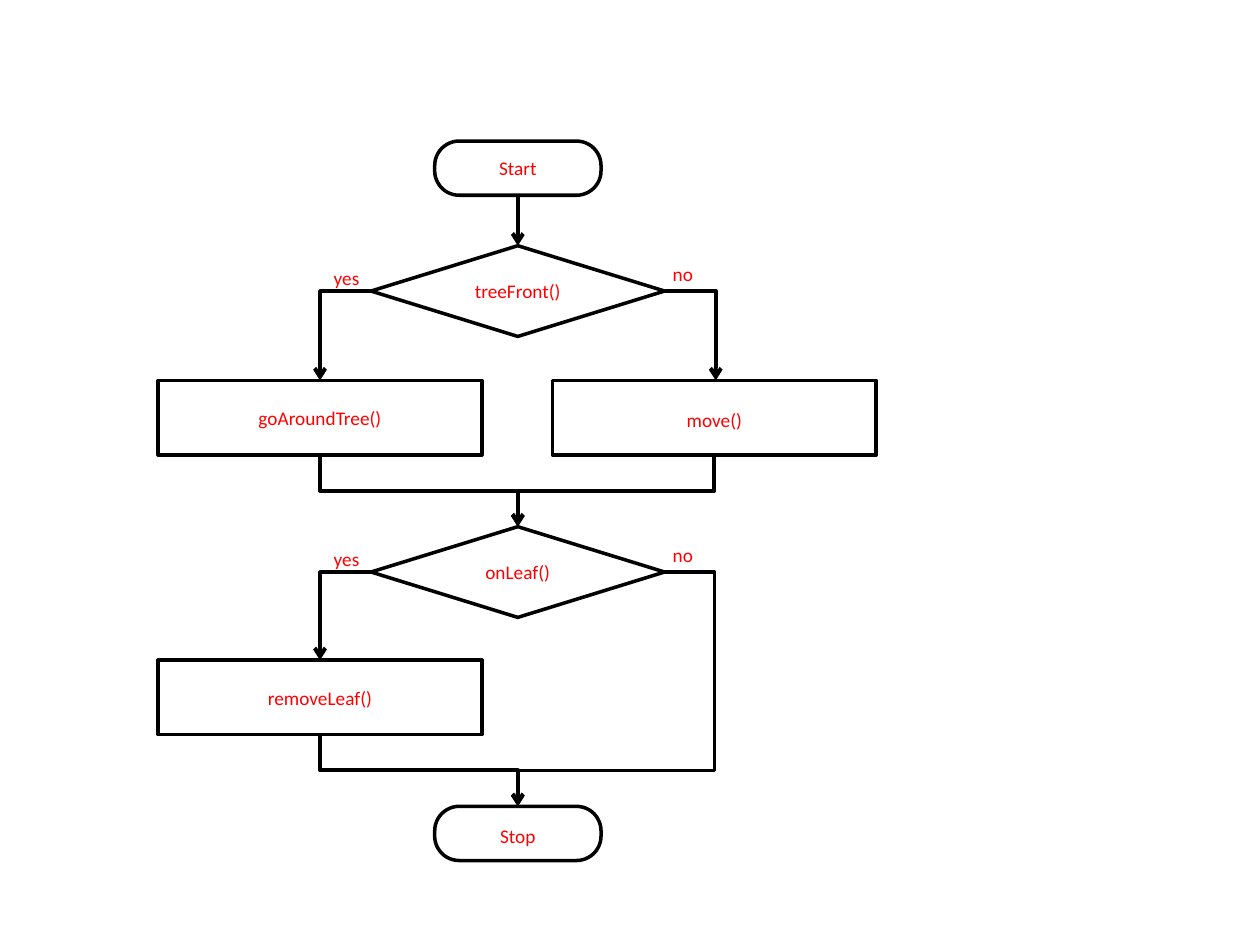
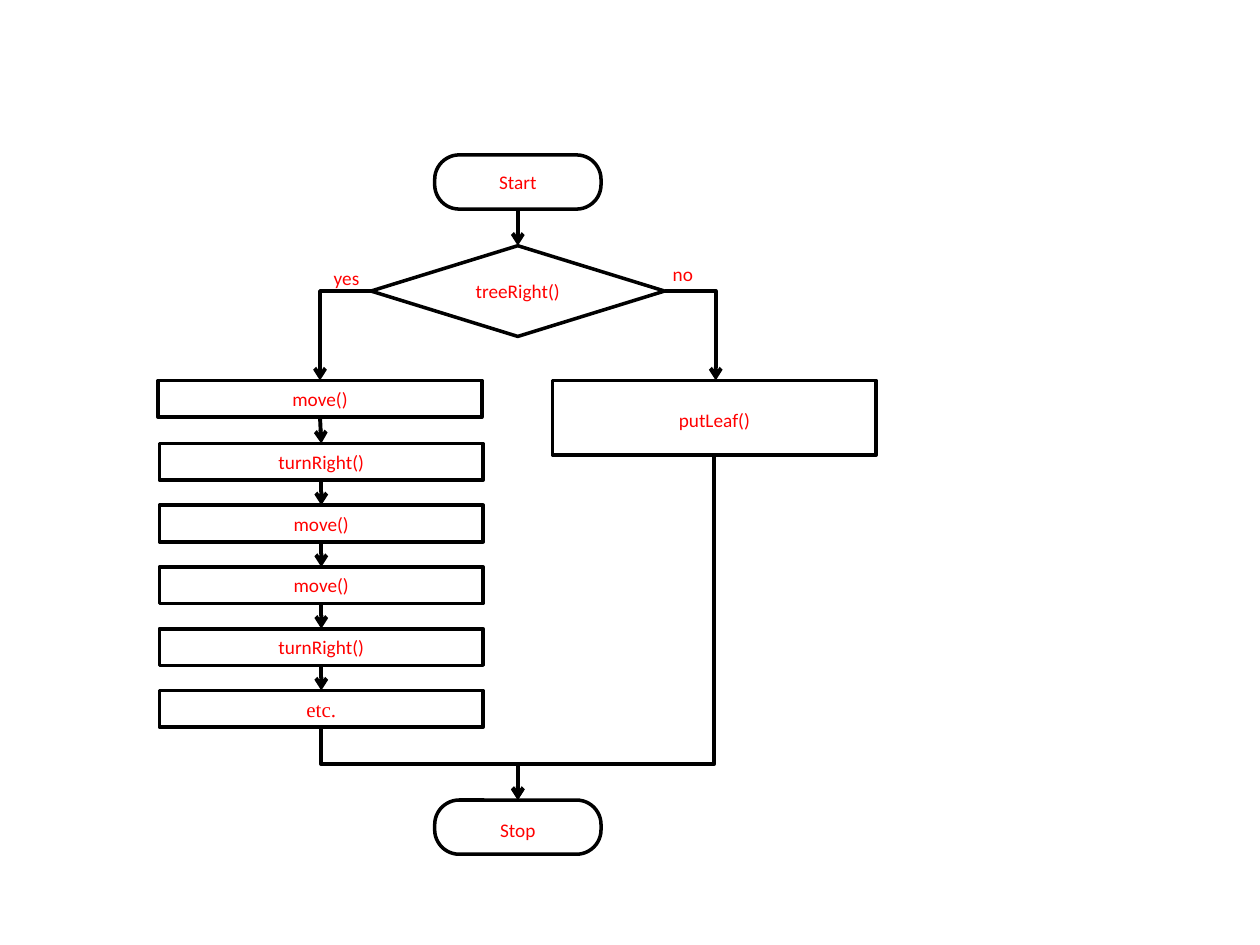
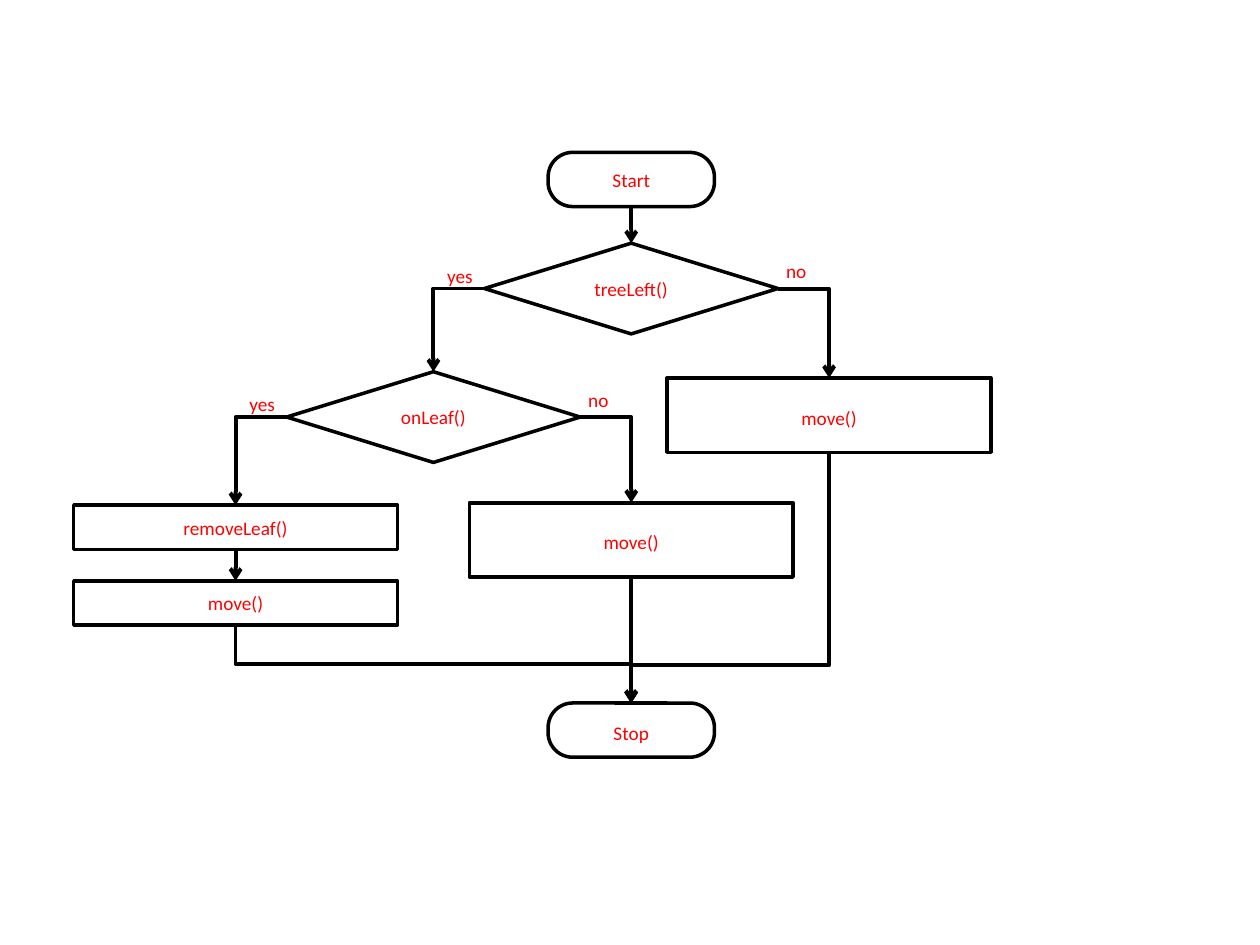
from pptx import Presentation
from pptx.dml.color import RGBColor
from pptx.enum.shapes import MSO_CONNECTOR, MSO_SHAPE
from pptx.enum.text import MSO_ANCHOR, PP_ALIGN
from pptx.oxml.ns import qn
from pptx.util import Inches, Pt
from lxml import etree

WHITE = RGBColor(0xFF, 0xFF, 0xFF)
BLACK = RGBColor(0, 0, 0)
RED = RGBColor(0xFF, 0, 0)
STRAIGHT = MSO_CONNECTOR.STRAIGHT
ELBOW = MSO_CONNECTOR.ELBOW
TERMINAL = MSO_SHAPE.ROUNDED_RECTANGLE
DECISION = MSO_SHAPE.FLOWCHART_DECISION
STEP = MSO_SHAPE.RECTANGLE
LABEL = None

WIDTHS = {TERMINAL: 1.32, DECISION: 2.33, STEP: 2.57, LABEL: 0.52}
TERMINAL_H, DECISION_H, LABEL_H = 0.43, 0.72, 0.3
TALL, MEDIUM, LOW = 0.59, 0.35, 0.29
BRANCH = 1.57      # from the middle of a decision to its branches
LOOSE = 1.2        # line spacing


def node(s, kind, cx, y, h, text, spacing=None, font="Calibri", size=11):
    """Add a flowchart node or a plain label, centred on cx."""
    w = WIDTHS[kind]
    place = Inches(cx - w / 2), Inches(y), Inches(w), Inches(h)
    if kind is LABEL:
        sp = s.shapes.add_textbox(*place)
    else:
        sp = s.shapes.add_shape(kind, *place)
        sp.shadow.inherit = False
        sp.fill.solid()
        sp.fill.fore_color.rgb = WHITE
        sp.line.color.rgb = BLACK
        sp.line.width = Pt(2)
    if kind == TERMINAL:
        sp.adjustments[0] = 0.452
    tf = sp.text_frame
    tf.word_wrap = True
    if kind == DECISION:
        tf.margin_left = tf.margin_right = tf.margin_top = tf.margin_bottom = 0
    p = tf.paragraphs[0]
    if kind is not LABEL:
        tf.vertical_anchor = MSO_ANCHOR.MIDDLE
        p.alignment = PP_ALIGN.CENTER
    if spacing:
        p.line_spacing = spacing
    r = p.add_run()
    r.text = text
    r.font.name = font
    r.font.size = Pt(size)
    r.font.color.rgb = RED


def link(s, x1, y1, x2, y2, preset="line", adjust=()):
    """Add an arrow; bentConnector3 leaves and arrives vertically."""
    if preset == "bentConnector3":
        # a sideways frame around the same middle, turned a quarter
        cx, cy = (x1 + x2) / 2, (y1 + y2) / 2
        w, h = y2 - y1, abs(x2 - x1)
        ends = cx - w / 2, cy - h / 2, cx + w / 2, cy + h / 2
    else:
        ends = x1, y1, x2, y2
    kind = STRAIGHT if preset == "line" else ELBOW
    c = s.shapes.add_connector(kind, *[Inches(v) for v in ends])
    c.line.color.rgb = BLACK
    c.line.width = Pt(2.25)
    sp_pr = c._element.spPr
    if preset == "bentConnector3":
        xfrm = sp_pr.find(qn("a:xfrm"))
        if x2 < x1:
            xfrm.set("rot", "5400000")
        else:
            xfrm.set("rot", "16200000")
            xfrm.set("flipH", "1")
    geom = sp_pr.find(qn("a:prstGeom"))
    geom.set("prst", preset)
    for i, value in enumerate(adjust, 1):
        name = "adj%d" % i if preset != "line" else "adj"
        etree.SubElement(geom.find(qn("a:avLst")), qn("a:gd"),
                         name=name, fmla="val %d" % round(value * 100000))
    etree.SubElement(sp_pr.find(qn("a:ln")), qn("a:tailEnd"), type="arrow")
    etree.SubElement(sp_pr, qn("a:effectLst"))


# decisions: middle, top, text, end of the yes arrow, end of the no arrow
# steps: middle, top, height, text, line spacing
# arrows: x1, y1, x2, y2
# joins: from x, from y, to y, bend
CHARTS = [
    {"cx": 4.11, "start": 1.12, "stop": 6.4,
     "decisions": [(4.11, 1.95, "treeFront()", 3.02, 3.02),
                   (4.11, 4.18, "onLeaf()", 5.24, None)],
     "steps": [(2.54, 3.02, TALL, "goAroundTree()", None),
               (5.67, 3.02, TALL, "move()", LOOSE),
               (2.54, 5.24, TALL, "removeLeaf()", None)],
     "arrows": [],
     "joins": [(5.67, 3.61, 4.18, 0.5), (2.54, 3.61, 4.18, 0.5),
               (2.54, 5.83, 6.4, 0.5)]},
    {"cx": 4.11, "start": 1.23, "stop": 6.35,
     "decisions": [(4.11, 1.95, "treeRight()", 3.02, 3.02)],
     "steps": [(2.54, 3.02, LOW, "move()", None),
               (5.67, 3.02, TALL, "putLeaf()", LOOSE)],
     "arrows": [(2.54, 3.31, 2.55, 3.52)],
     "joins": [(5.67, 3.61, 6.35, 0.895), (2.55, 5.78, 6.35, 0.5)]},
    {"cx": 5.01, "start": 1.21, "stop": 5.58,
     "decisions": [(5.01, 1.93, "treeLeft()", 2.95, 3.0),
                   (3.44, 2.95, "onLeaf()", 4.01, 3.99)],
     "steps": [(6.58, 3.0, TALL, "move()", LOOSE),
               (1.87, 4.01, MEDIUM, "removeLeaf()", None),
               (5.01, 3.99, TALL, "move()", LOOSE),
               (1.87, 4.61, MEDIUM, "move()", None)],
     "arrows": [(1.87, 4.36, 1.87, 4.61)],
     "joins": [(6.58, 3.59, 5.58, 0.849), (5.01, 4.58, 5.58, 0.5),
               (1.87, 4.96, 5.58, 0.5)]},
]

prs = Presentation()
prs.slide_width = Inches(10)
prs.slide_height = Inches(7.5)

for chart in CHARTS:
    s = prs.slides.add_slide(prs.slide_layouts[6])
    cx, start, stop = chart["cx"], chart["start"], chart["stop"]
    node(s, TERMINAL, cx, start, TERMINAL_H, "Start")
    link(s, cx, start + TERMINAL_H, cx, chart["decisions"][0][1])

    for mid, top, text, yes_end, no_end in chart["decisions"]:
        half, side = WIDTHS[DECISION] / 2, top + DECISION_H / 2
        node(s, DECISION, mid, top, DECISION_H, text)
        node(s, LABEL, mid + 1.39, top + 0.08, LABEL_H, "no")
        node(s, LABEL, mid - 1.3, top + 0.08, LABEL_H, "yes", LOOSE)
        link(s, mid - half, side, mid - BRANCH, yes_end, "bentConnector2")
        if no_end:
            link(s, mid + half, side, mid + BRANCH, no_end, "bentConnector2")
        else:
            link(s, mid + half, side, cx, stop, "bentConnector4", (-0.34, 0.847))

    for mid, top, height, text, spacing in chart["steps"]:
        node(s, STEP, mid, top, height, text, spacing)
    for arrow in chart["arrows"]:
        link(s, *arrow)
    for x, y, end, bend in chart["joins"]:
        link(s, x, y, cx, end, "bentConnector3", (bend,))
    node(s, TERMINAL, cx, stop, TERMINAL_H, "Stop", LOOSE)

# The walk around the tree goes on below the first step of the second chart
s = prs.slides[1]
stack_x, stack_top, pitch = 2.55, 3.52, 0.49
moves = ["turnRight()", "move()", "move()", "turnRight()"]
for i, text in enumerate(moves):
    top = stack_top + i * pitch
    node(s, STEP, stack_x, top, LOW, text)
    link(s, stack_x, top + LOW, stack_x, top + pitch)
node(s, STEP, stack_x, stack_top + len(moves) * pitch, LOW, "etc.",
     font="Times New Roman", size=12)

prs.save("out.pptx")
